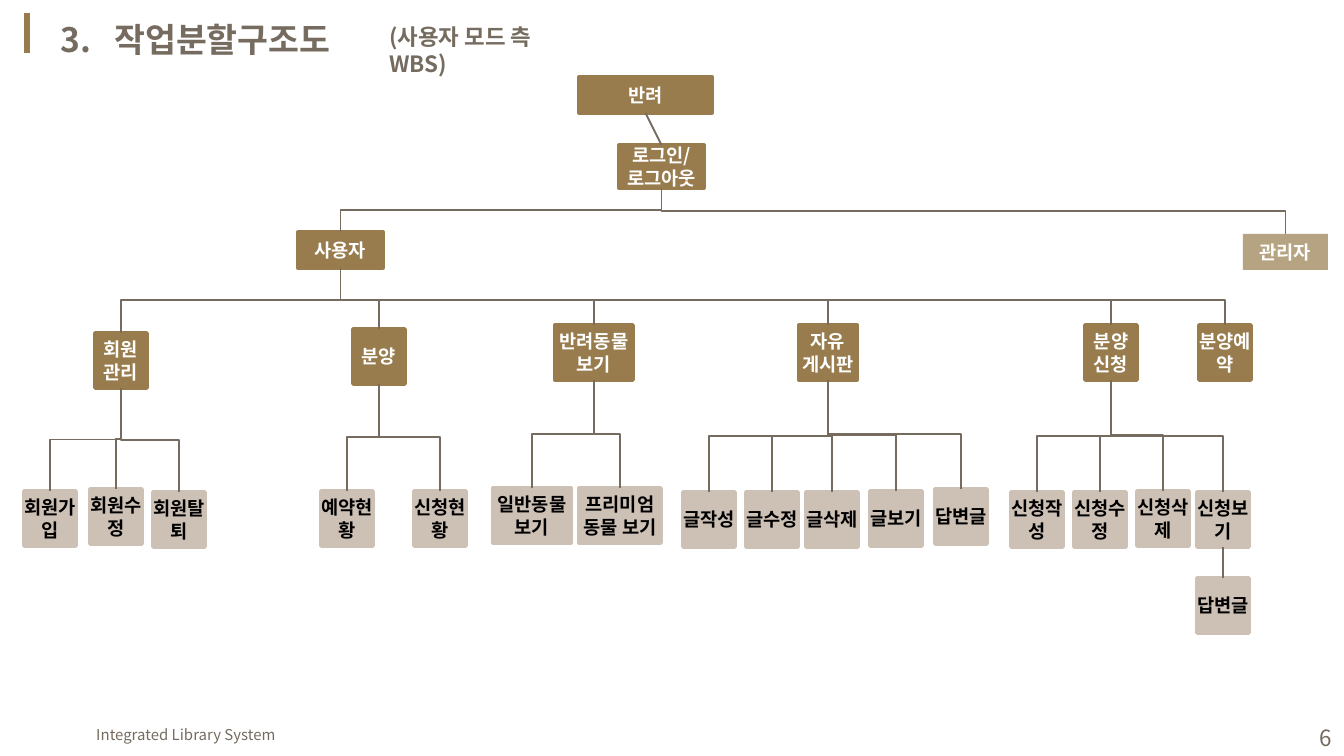
from collections import namedtuple
from lxml import etree
from pptx import Presentation
from pptx.dml.color import RGBColor
from pptx.enum.shapes import MSO_CONNECTOR, MSO_SHAPE
from pptx.enum.text import MSO_ANCHOR, MSO_AUTO_SIZE, PP_ALIGN
from pptx.oxml.ns import qn
from pptx.util import Emu, Pt

RECTANGLE = MSO_SHAPE.RECTANGLE
STRAIGHT, ELBOW = MSO_CONNECTOR.STRAIGHT, MSO_CONNECTOR.ELBOW
TOP, MIDDLE = MSO_ANCHOR.TOP, MSO_ANCHOR.MIDDLE
LEFT, CENTER, RIGHT = PP_ALIGN.LEFT, PP_ALIGN.CENTER, PP_ALIGN.RIGHT
GROW = MSO_AUTO_SIZE.SHAPE_TO_FIT_TEXT
TOP_SITE, BOTTOM_SITE = 0, 2

Theme = namedtuple("Theme", "font gold gray leaf white black title body node small page")
THEME = Theme("Noto Sans CJK KR", "987C4D", "756B5F", "CDC1B6", "FFFFFF", "000000",
              18, 12, 10, 8, 12)
EMU_PER_PIXEL = 914400 / 134.4
PAGE_SIZE = (1344, 756)

# Fill, text colour, opacity in percent (below 100 the box has no outline)
STYLES = {
    "branch": (THEME.gold, THEME.white, 100),
    "faded": (THEME.gold, THEME.white, 70),
    "leaf": (THEME.leaf, THEME.black, 100),
}

Node = namedtuple("Node", "lines left top width height style children", defaults=((),))
TILE_WIDTH, TILE_HEIGHT = 52, 55
TOPIC_BUS = 300


def topic(lines, left, top, width, *children):
    """Describe a third-level box."""
    return Node(lines, left, top, width, TILE_HEIGHT, "branch", children)


def leaf(label, left, top, width=TILE_WIDTH, children=()):
    """Describe a task box."""
    return Node([label], left, top, width, TILE_HEIGHT, "leaf", children)


TOPICS = [
    topic(["회원", "관리"], 95, 333, 52,
          leaf("회원가입", 24, 491), leaf("회원수정", 90, 489), leaf("회원탈퇴", 153, 492)),
    topic(["분양"], 353, 329, 52,
          leaf("예약현황", 321, 491), leaf("신청현황", 414, 491)),
    topic(["반려동물 보기"], 555, 325, 78,
          leaf("일반동물 보기", 493, 488, 78), leaf("프리미엄 동물 보기", 579, 488, 82)),
    topic(["자유", "게시판"], 799, 325, 58,
          leaf("글작성", 683, 492), leaf("글수정", 746, 492), leaf("글삭제", 806, 492),
          leaf("글보기", 870, 491), leaf("답변글", 935, 489)),
    topic(["분양 신청"], 1085, 325, 52,
          leaf("신청작성", 1011, 492), leaf("신청수정", 1074, 492), leaf("신청삭제", 1137, 491),
          leaf("신청보기", 1197, 492, children=(leaf("답변글", 1197, 578),))),
    topic(["분양예약"], 1199, 325, 52),
]
USER = Node(["사용자"], 298, 232, 85, 36, "branch", TOPICS)
ADMIN = Node(["관리자"], 1243, 234, 85, 36, "faded")
LOGIN = Node(["로그인/", "로그아웃"], 619, 145, 85, 43, "branch", [USER, ADMIN])
ROOT = Node(["반려"], 579, 77, 133, 36, "branch", [LOGIN])

TITLE = "3.\t작업분할구조도"
SUBTITLE = "(사용자 모드 측 WBS)"
FOOTER = "Integrated Library System"
PAGE_NUMBER = "6"


def px(pixels):
    """Turn pixels into EMU."""
    return Emu(round(pixels * EMU_PER_PIXEL))


def color(code):
    """Turn a hex code into a colour."""
    return RGBColor.from_string(code)


def add_span(para, text, size, code, bold):
    """Add one formatted run to a paragraph."""
    span = para.add_run()
    span.text = text
    span.font.size, span.font.bold, span.font.name = Pt(size), bold, THEME.font
    span.font.color.rgb = color(code)
    etree.SubElement(span.font._element, qn("a:ea"), typeface=THEME.font)


def add_text(page, area, text, size, bold=True, align=LEFT, anchor=TOP, grow=True):
    """Add a text box holding one gray paragraph and return it."""
    box = page.shapes.add_textbox(*map(px, area))
    frame = box.text_frame
    frame.word_wrap, frame.vertical_anchor = True, anchor
    if grow:
        frame.auto_size = GROW
    para = frame.paragraphs[0]
    para.alignment = align
    add_span(para, text, size, THEME.gray, bold)
    return box


def add_box(page, node):
    """Draw the box of one node and return it."""
    fill, ink, opacity = STYLES[node.style]
    box = page.shapes.add_shape(RECTANGLE, px(node.left), px(node.top),
                                px(node.width), px(node.height))
    box.shadow.inherit = False
    box.fill.solid()
    box.fill.fore_color.rgb = color(fill)
    if opacity < 100:
        box.line.fill.background()
        tint = box._element.spPr.find(qn("a:solidFill")).find(qn("a:srgbClr"))
        etree.SubElement(tint, qn("a:alpha"), val=str(opacity * 1000))
    else:
        box.line.color.rgb, box.line.width = color(fill), Pt(2)
    frame = box.text_frame
    frame.word_wrap, frame.vertical_anchor = True, MIDDLE
    frame.margin_left = frame.margin_right = frame.margin_top = frame.margin_bottom = 0
    for index, line in enumerate(node.lines):
        para = frame.add_paragraph() if index else frame.paragraphs[0]
        para.alignment = CENTER
        add_span(para, line, THEME.node, ink, True)
    return box


def add_line(page, kind, start, end, code=THEME.gray, width=1):
    """Draw a connector between two points given in EMU."""
    line = page.shapes.add_connector(kind, *start, *end)
    line.line.color.rgb, line.line.width = color(code), Pt(width)
    etree.SubElement(line._element.spPr, qn("a:effectLst"))
    return line


def link(page, parent, child, bus=None, kind=ELBOW):
    """Join the bottom of a parent to the top of a child, turning at the bus height."""
    start = (parent.left + parent.width // 2, parent.top + parent.height)
    end = (child.left + child.width // 2, child.top)
    line = add_line(page, kind, start, end)
    line.begin_connect(parent, BOTTOM_SITE)
    line.end_connect(child, TOP_SITE)
    if kind == STRAIGHT:
        return
    across, down = end[0] - start[0], end[1] - start[1]
    frame = line._element.spPr.find(qn("a:xfrm"))
    frame.attrib.clear()
    frame.set("rot", str((270 if across > 0 else 90) * 60000))
    if across > 0:
        frame.set("flipH", "1")
    line.left = Emu((start[0] + end[0] - down) // 2)
    line.top = Emu((start[1] + end[1] - abs(across)) // 2)
    line.width, line.height = Emu(down), Emu(abs(across))
    if bus:
        guides = line._element.spPr.find(qn("a:prstGeom")).find(qn("a:avLst"))
        share = round((bus - start[1]) / down * 100000)
        etree.SubElement(guides, qn("a:gd"), name="adj1", fmla=f"val {share}")


def draw_tree(page, node):
    """Draw a node with all its descendants and their connectors."""
    parent = add_box(page, node)
    boxes = [draw_tree(page, child) for child in node.children]
    for index, box in enumerate(boxes):
        center = box.left + box.width // 2
        if node is USER and 0 < index < len(boxes) - 1:
            stub = add_line(page, STRAIGHT, (center, box.top), (center, px(TOPIC_BUS)))
            stub.begin_connect(box, TOP_SITE)
        elif len(boxes) == 1:
            link(page, parent, box, kind=STRAIGHT)
        else:
            link(page, parent, box, px(TOPIC_BUS) if node is USER else None)
    return parent


deck = Presentation()
deck.slide_width, deck.slide_height = map(px, PAGE_SIZE)
page = deck.slides.add_slide(deck.slide_layouts[6])

add_line(page, STRAIGHT, (px(27), px(13)), (px(27), px(53)), THEME.gold, 3)
add_text(page, (83, 719, 219, 32), FOOTER, THEME.small, bold=False)
add_text(page, (1032, 718, 313, 40), PAGE_NUMBER, THEME.page, False, RIGHT, MIDDLE, False)

title = add_text(page, (47, 12, 431, 54), TITLE, THEME.title)
hanging = title.text_frame.paragraphs[0]._p.get_or_add_pPr()
hanging.set("marL", str(px(54)))
hanging.set("indent", str(-px(54)))
subtitle = add_text(page, (376, 17, 243, 40), SUBTITLE, THEME.body)
subtitle.text_frame.margin_right = px(40)

draw_tree(page, ROOT)
deck.save("out.pptx")
